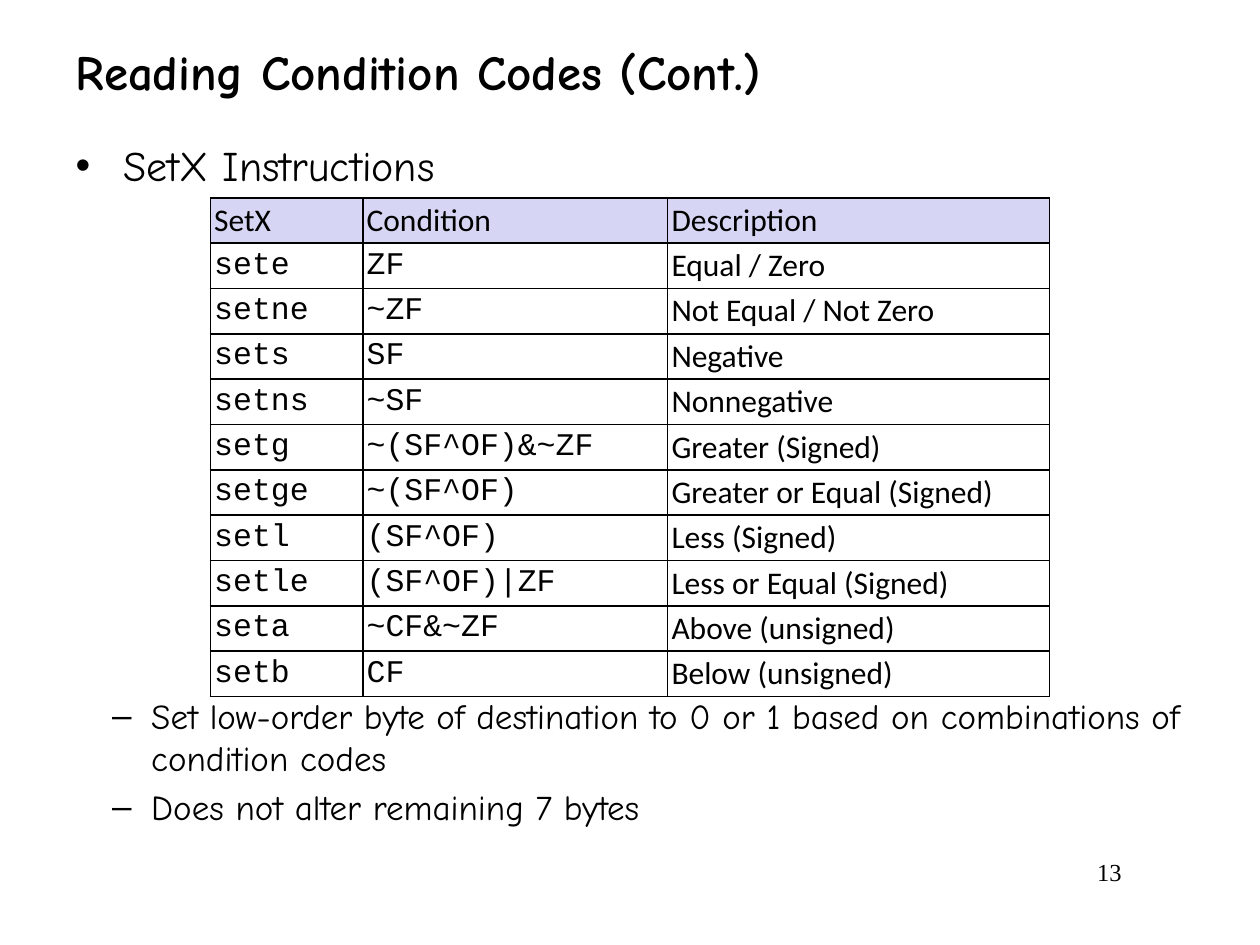
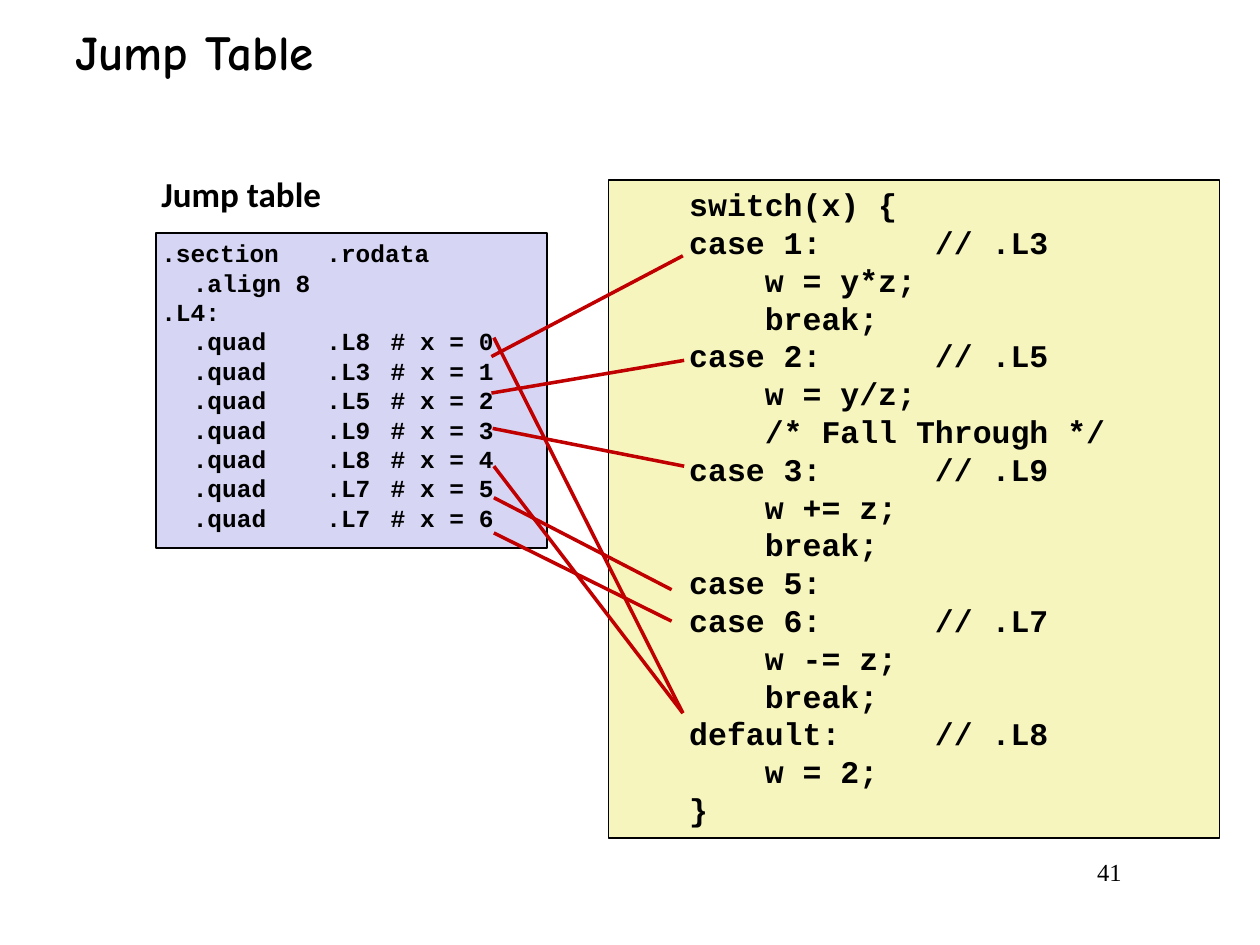
"""Build two slides on condition codes and jump tables."""
from lxml.etree import SubElement as Sub
from pptx import Presentation
from pptx.dml.color import RGBColor as RGB
from pptx.enum.shapes import MSO_CONNECTOR as Conn, MSO_SHAPE as Shape
from pptx.enum.text import MSO_ANCHOR as Anchor, MSO_AUTO_SIZE as Fit, PP_ALIGN as Align
from pptx.oxml.ns import qn
from pptx.util import Pt

PX = 9144
INK, LILAC, CREAM, RED = map(RGB.from_string, ("000000", "D6D6F4", "F6F5BD", "C00000"))
THEME = {
    "title": {"name": "Comic Neue", "size": Pt(28), "bold": True},
    "list": {"name": "Comic Neue", "size": Pt(24), "bold": False},
    "sub": {"name": "Comic Neue", "size": Pt(20), "bold": False},
    "cell": {"name": "Calibri", "size": Pt(18), "bold": False},
    "mono": {"name": "Courier New", "size": Pt(18), "bold": False},
    "label": {"name": "Calibri", "size": Pt(20), "bold": True},
    "asm": {"name": "Courier New", "size": Pt(14), "bold": True},
    "code": {"name": "Courier New", "size": Pt(18), "bold": True},
    "page": {"name": "Times New Roman", "size": Pt(14), "bold": False},
}


def write(frame, lines, style, pad=None, anchor=Anchor.TOP, tabs=(), hang=0, align=Align.LEFT):
    """Fill a frame with one styled paragraph per line."""
    form = {"word_wrap": True, "auto_size": Fit.NONE, "vertical_anchor": anchor}
    if pad is not None:
        form |= {f"margin_{side}": pad * PX for side in ("left", "top", "right", "bottom")}
    for key, val in form.items():
        setattr(frame, key, val)
    for num, line in enumerate(lines):
        par = frame.add_paragraph() if num else frame.paragraphs[0]
        par.alignment = align
        par.space_before = Pt(0)
        props = par._p.get_or_add_pPr()
        if hang:
            props.set("marL", str(hang * PX))
            props.set("indent", str(-hang * PX))
        if tabs:
            stops = Sub(props, qn("a:tabLst"))
            for tab in tabs:
                Sub(stops, qn("a:tab"), pos=str(tab * PX), algn="l")
        run = par.add_run()
        run.text = line
        for key, val in THEME[style].items():
            setattr(run.font, key, val)
        run.font.color.rgb = INK


def place(shape, *box):
    """Move a shape to a box given in px and return it."""
    for key, val in zip(("left", "top", "width", "height"), box):
        setattr(shape, key, val * PX)
    return shape


deck = Presentation()
deck.slide_width, deck.slide_height = 1000 * PX, 750 * PX

slides = []
for kind, head, top, tall, page in (
    (1, "Reading Condition Codes (Cont.)", 6, 100, "13"),
    (5, "Jump Table", 0, 81, "41"),
):
    slide = deck.slides.add_slide(deck.slide_layouts[kind])
    title = place(slide.shapes.title, 50, top, 883, tall)
    write(title.text_frame, [head], "title", anchor=Anchor.MIDDLE, hang=13)
    foot = place(slide.shapes.add_textbox(0, 0, 0, 0), 758, 675, 142, 50)
    write(foot.text_frame, [page], "page", align=Align.RIGHT)
    slides.append(slide)
codes, jumps = slides

body = place(codes.placeholders[1], 50, 106, 908, 577).text_frame
write(body, ["SetX Instructions"], "list", hang=38)
for note, gap in (
    ("Set low-order byte of destination to 0 or 1 based on combinations of condition codes", 288),
    ("Does not alter remaining 7 bytes", 4),
):
    par = body.add_paragraph()
    par.level = 1
    par.space_before = Pt(gap)
    par.alignment = Align.LEFT
    props = par._p.get_or_add_pPr()
    props.set("marL", str(60 * PX))
    props.set("indent", str(-31 * PX))
    run = par.add_run()
    run.text = note
    for key, val in THEME["sub"].items():
        setattr(run.font, key, val)
    run.font.color.rgb = INK

rows = (
    ("SetX", "Condition", "Description"),
    ("sete", "ZF", "Equal / Zero"),
    ("setne", "~ZF", "Not Equal / Not Zero"),
    ("sets", "SF", "Negative"),
    ("setns", "~SF", "Nonnegative"),
    ("setg", "~(SF^OF)&~ZF", "Greater (Signed)"),
    ("setge", "~(SF^OF)", "Greater or Equal (Signed)"),
    ("setl", "(SF^OF)", "Less (Signed)"),
    ("setle", "(SF^OF)|ZF", "Less or Equal (Signed)"),
    ("seta", "~CF&~ZF", "Above (unsigned)"),
    ("setb", "CF", "Below (unsigned)"),
)
wide, tall = (121, 242, 303), 36
grid = codes.shapes.add_table(
    len(rows), len(wide), 167 * PX, 157 * PX, sum(wide) * PX, len(rows) * tall * PX
).table
grid.first_row = grid.horz_banding = False
for col, width in zip(grid.columns, wide):
    col.width = width * PX
for y, row in enumerate(rows):
    grid.rows[y].height = tall * PX
    for x, text in enumerate(row):
        cell = grid.cell(y, x)
        style = "mono" if y and x < 2 else "cell"
        write(cell.text_frame, [text], style)
        for side, pad in {"left": 3, "right": 3, "top": 2, "bottom": 2}.items():
            setattr(cell, f"margin_{side}", pad * PX)
        cell.vertical_anchor = Anchor.MIDDLE
        props = cell._tc.get_or_add_tcPr()
        for side in "LRTB":
            edge = Sub(props, qn(f"a:ln{side}"), w=str(Pt(1)))
            Sub(Sub(edge, qn("a:solidFill")), qn("a:srgbClr"), val=str(INK))
        if y:
            cell.fill.background()
        else:
            cell.fill.solid()
            cell.fill.fore_color.rgb = LILAC

label = place(jumps.shapes.add_textbox(0, 0, 0, 0), 124, 133, 160, 42)
write(label.text_frame, ["Jump table"], "label", pad=4)

asm = [".section\t.rodata", "\t.align 8", ".L4:"]
asm += [f"\t.quad\t.L{goal}\t# x = {x}" for x, goal in enumerate((8, 3, 5, 9, 8, 7, 7))]
code = """\
    switch(x) {
    case 1:      // .L3
        w = y*z;
        break;
    case 2:      // .L5
        w = y/z;
        /* Fall Through */
    case 3:      // .L9
        w += z;
        break;
    case 5:
    case 6:      // .L7
        w -= z;
        break;
    default:     // .L8
        w = 2;
    }""".split("\n")
for box, fill, lines, style, tabs in (
    ((124, 185, 310, 250), LILAC, asm, "asm", (25, 131, 182)),
    ((483, 143, 485, 522), CREAM, code, "code", ()),
):
    panel = place(jumps.shapes.add_shape(Shape.RECTANGLE, 0, 0, 0, 0), *box)
    panel.shadow.inherit = False
    panel.fill.solid()
    panel.fill.fore_color.rgb = fill
    panel.line.color.rgb = INK
    panel.line.width = Pt(1)
    write(panel.text_frame, lines, style, pad=4, tabs=tabs)

for ends in (
    (392, 268, 542, 566),
    (390, 283, 542, 203),
    (390, 312, 543, 286),
    (391, 340, 543, 370),
    (392, 370, 542, 566),
    (392, 395, 533, 468),
    (392, 423, 533, 493),
):
    link = jumps.shapes.add_connector(Conn.STRAIGHT, *(end * PX for end in ends))
    link.line.color.rgb = RED
    link.line.width = Pt(2)
    Sub(link._element.spPr, qn("a:effectLst"))

deck.save("out.pptx")
